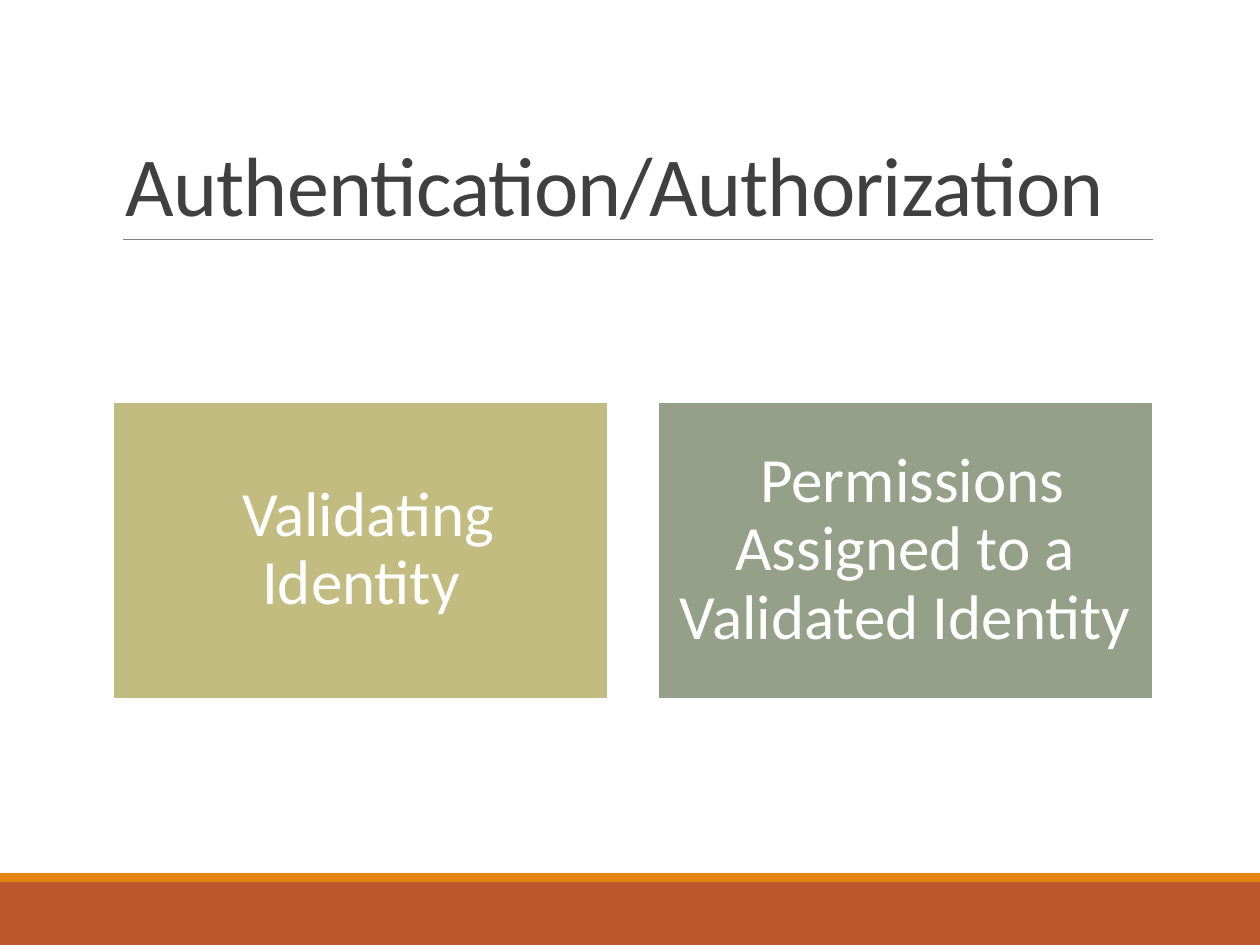
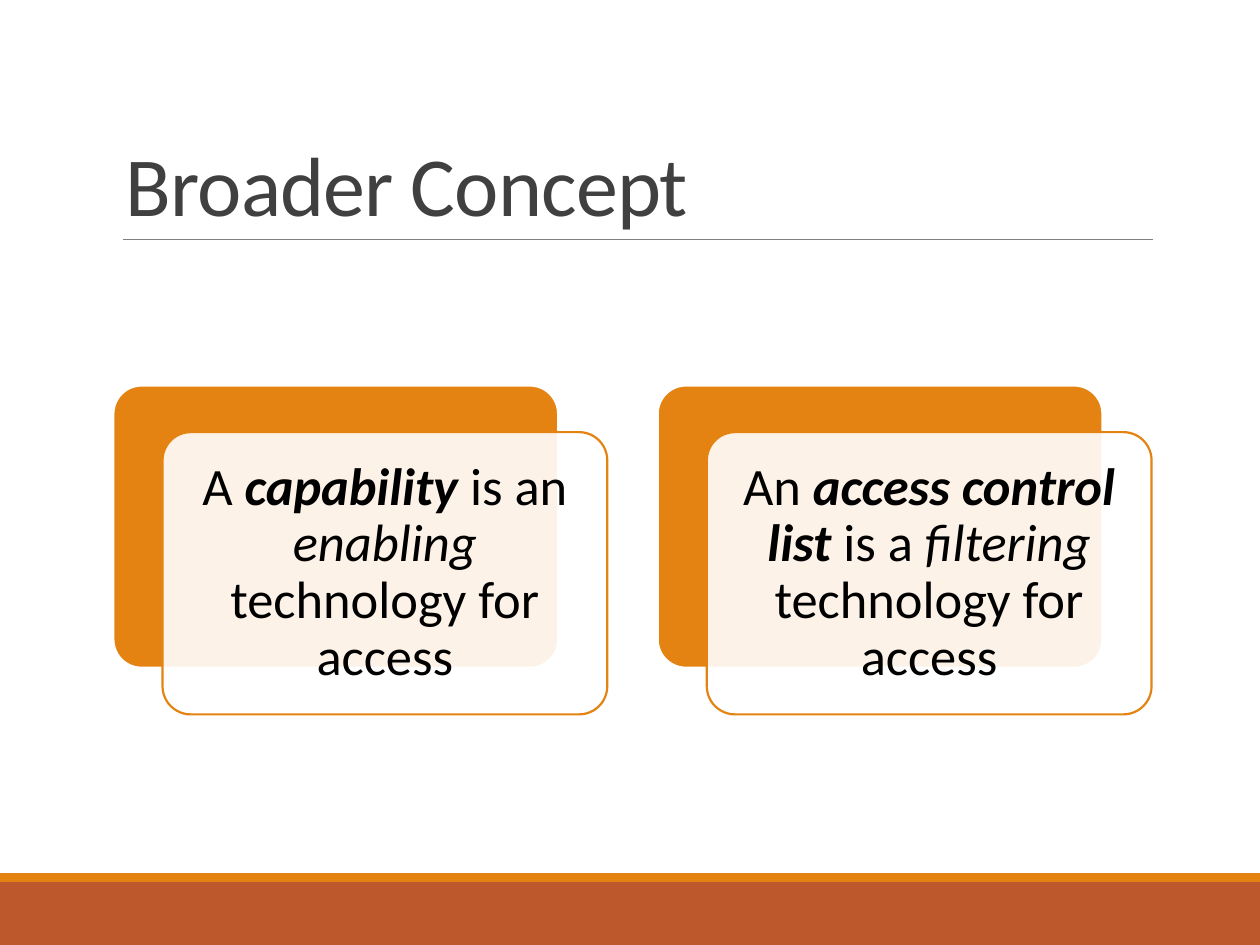
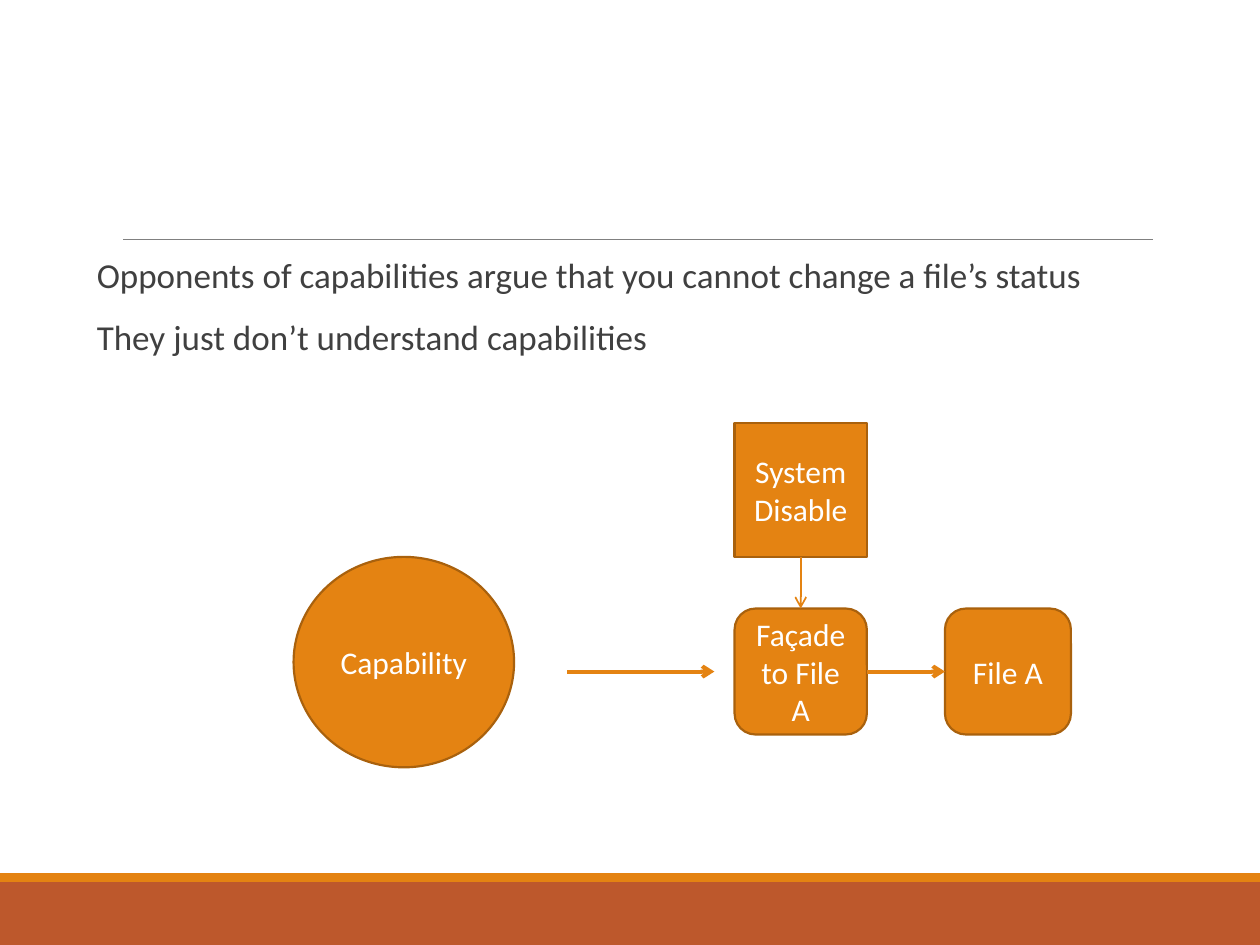
"""Build three slides on authentication, access control and capabilities."""
from lxml.etree import SubElement
from pptx import Presentation
from pptx.dml.color import RGBColor
from pptx.enum.shapes import MSO_CONNECTOR, MSO_SHAPE
from pptx.enum.text import MSO_ANCHOR, PP_ALIGN
from pptx.oxml.ns import qn
from pptx.util import Inches, Pt

FONT = "Calibri"
COLORS = {
    "white": "FFFFFF", "black": "000000", "text": "404040", "rule": "808080",
    "orange": "E48312", "edge": "A9610D", "rust": "BD582C",
    "olive": "C2BC80", "sage": "94A088",
}

CARD_LEFT, CARD_STEP = 0.9, 4.32
DEFINITIONS = [
    (" Validating Identity", "olive"),
    (" Permissions Assigned to a Validated Identity", "sage"),
]
CONCEPTS = [
    [("A ", ""), ("capability", "bi"), (" is an ", ""),
     ("enabling", "i"), (" technology for access", "")],
    [("An ", ""), ("access control list", "bi"), (" is a ", ""),
     ("filtering", "i"), (" technology for access", "")],
]
ARGUMENTS = [
    "Opponents of capabilities argue that you cannot change a file’s status",
    "They just don’t understand capabilities",
]
NODES = {
    "File A": (MSO_SHAPE.ROUNDED_RECTANGLE, (7.5, 4.83, 1, 1)),
    "Façade to File A": (MSO_SHAPE.ROUNDED_RECTANGLE, (5.83, 4.83, 1.05, 1)),
    "Capability": (MSO_SHAPE.OVAL, (2.33, 4.42, 1.75, 1.67)),
    "System Disable": (MSO_SHAPE.RECTANGLE, (5.83, 3.36, 1.05, 1.06)),
}
TOP, LEFT, BOTTOM, RIGHT = range(4)
LINKS = [
    ("System Disable", BOTTOM, "Façade to File A", TOP, 1),
    ("Façade to File A", RIGHT, "File A", LEFT, 2.25),
]


def color(name):
    return RGBColor.from_string(COLORS[name])


def add_box(slide, kind, box, fill, edge=None):
    shape = slide.shapes.add_shape(kind, *map(Inches, box))
    shape.shadow.inherit = False
    shape.fill.solid()
    shape.fill.fore_color.rgb = color(fill)
    if edge:
        shape.line.color.rgb = color(edge)
        shape.line.width = Pt(1.25)
    else:
        shape.line.fill.background()
    return shape


def add_line(slide, start, end, line_color, width, arrow=False):
    line = slide.shapes.add_connector(
        MSO_CONNECTOR.STRAIGHT, *map(Inches, (*start, *end)))
    line.line.color.rgb = color(line_color)
    line.line.width = Pt(width)
    if arrow:
        SubElement(line.line._get_or_add_ln(), qn("a:tailEnd"), type="arrow")
    SubElement(line._element.spPr, qn("a:effectLst"))
    return line


def style_paragraph(paragraph, size, text_color, spacing=1.0, align=PP_ALIGN.LEFT):
    paragraph.font.name = FONT
    paragraph.font.size = Pt(size)
    paragraph.font.color.rgb = color(text_color)
    paragraph.line_spacing = spacing
    paragraph.alignment = align


def write_centred(shape, runs, size, text_color, spacing=1.0, inset=None):
    frame = shape.text_frame
    frame.word_wrap = True
    frame.vertical_anchor = MSO_ANCHOR.MIDDLE
    if inset:
        frame.margin_left = frame.margin_right = Inches(inset)
        frame.margin_top = frame.margin_bottom = Inches(inset)
    paragraph = frame.paragraphs[0]
    style_paragraph(paragraph, size, text_color, spacing, PP_ALIGN.CENTER)
    for text, style in runs:
        run = paragraph.add_run()
        run.text = text
        if style:
            run.font.bold = "b" in style
            run.font.italic = "i" in style


def add_slide(presentation, title=None):
    slide = presentation.slides.add_slide(presentation.slide_layouts[6])
    add_box(slide, MSO_SHAPE.RECTANGLE, (0, 7, 10, 0.5), "rust")
    add_box(slide, MSO_SHAPE.RECTANGLE, (0, 6.93, 10, 0.07), "orange")
    add_line(slide, (0.98, 1.9), (9.15, 1.9), "rule", 0.5)
    if title:
        frame = slide.shapes.add_textbox(
            *map(Inches, (0.9, 0.31, 8.25, 1.59))).text_frame
        frame.word_wrap = True
        frame.vertical_anchor = MSO_ANCHOR.BOTTOM
        paragraph = frame.paragraphs[0]
        style_paragraph(paragraph, 48, "text", 0.85)
        run = paragraph.add_run()
        run.text = title
        run.font._element.set("spc", "-50")
    return slide


def add_definitions(presentation):
    slide = add_slide(presentation, "Authentication/Authorization")
    for index, (text, fill) in enumerate(DEFINITIONS):
        left = CARD_LEFT + index * CARD_STEP
        card = add_box(slide, MSO_SHAPE.RECTANGLE, (left, 3.19, 3.93, 2.36), fill, "white")
        write_centred(card, [(text, "")], 36, "white", 0.9, 0.15)


def add_concepts(presentation):
    slide = add_slide(presentation, "Broader Concept")
    for index, runs in enumerate(CONCEPTS):
        left = CARD_LEFT + index * CARD_STEP
        back = add_box(slide, MSO_SHAPE.ROUNDED_RECTANGLE,
                       (left, 3.06, 3.53, 2.24), "orange", "white")
        front = add_box(slide, MSO_SHAPE.ROUNDED_RECTANGLE,
                        (left + 0.39, 3.43, 3.53, 2.24), "white", "orange")
        for card in (back, front):
            card.adjustments[0] = 0.1
        fill_color = front._element.spPr.find(qn("a:solidFill"))[0]
        SubElement(fill_color, qn("a:alpha"), val="90000")
        write_centred(front, runs, 30, "black", 0.9, 0.12)


def add_facade(presentation):
    slide = add_slide(presentation)
    frame = slide.shapes.add_textbox(*map(Inches, (0.67, 2, 8.67, 4.25))).text_frame
    frame.word_wrap = True
    frame.margin_right = 0
    for index, text in enumerate(ARGUMENTS):
        paragraph = frame.add_paragraph() if index else frame.paragraphs[0]
        paragraph.text = text
        style_paragraph(paragraph, 20, "text", 0.9)
        paragraph.space_before = Pt(12)
        paragraph.space_after = Pt(2)

    nodes = {}
    for name, (kind, box) in NODES.items():
        nodes[name] = add_box(slide, kind, box, "orange", "edge")
        write_centred(nodes[name], [(name, "")], 18, "white")
    add_line(slide, (4.5, 5.33), (5.67, 5.33), "orange", 2.25, arrow=True)
    for source, source_side, target, target_side, width in LINKS:
        link = add_line(slide, (0, 0), (1, 1), "orange", width, arrow=True)
        link.begin_connect(nodes[source], source_side)
        link.end_connect(nodes[target], target_side)


def main():
    presentation = Presentation()
    presentation.slide_width = Inches(10)
    presentation.slide_height = Inches(7.5)
    add_definitions(presentation)
    add_concepts(presentation)
    add_facade(presentation)
    presentation.save("out.pptx")


if __name__ == "__main__":
    main()
